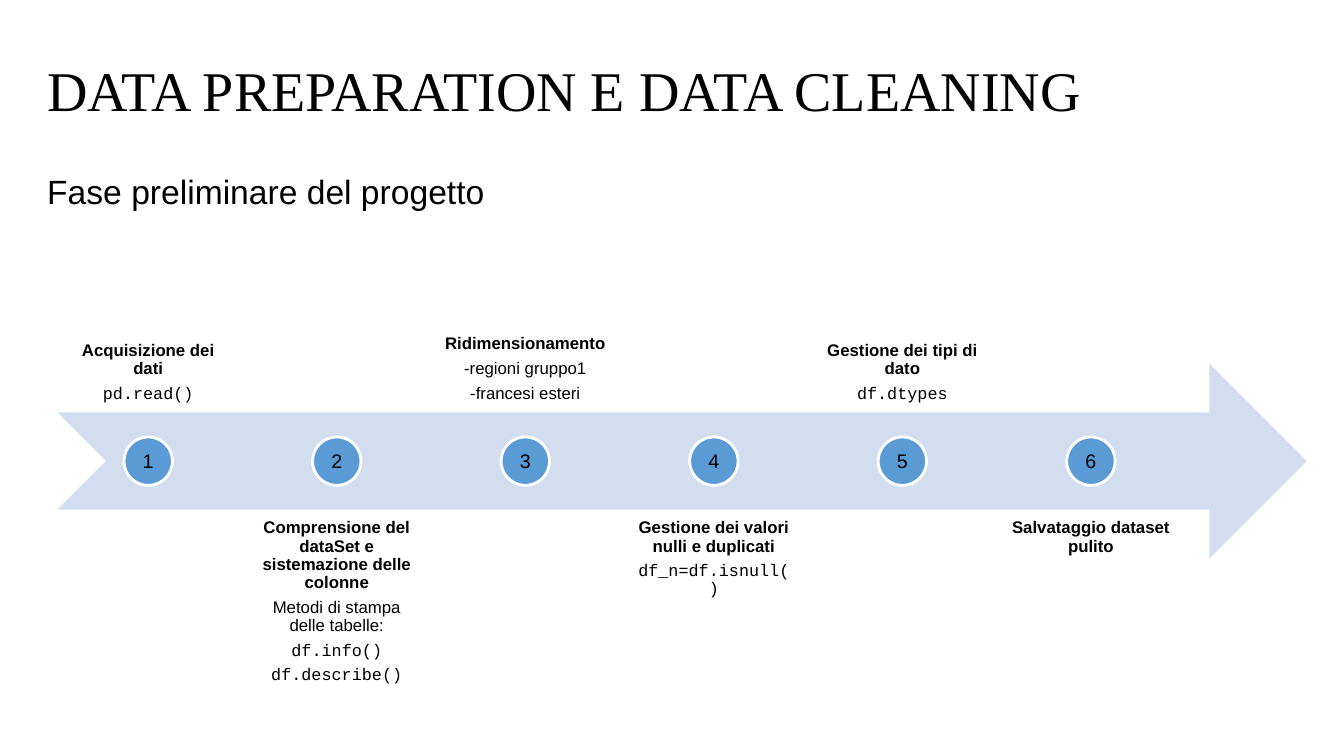
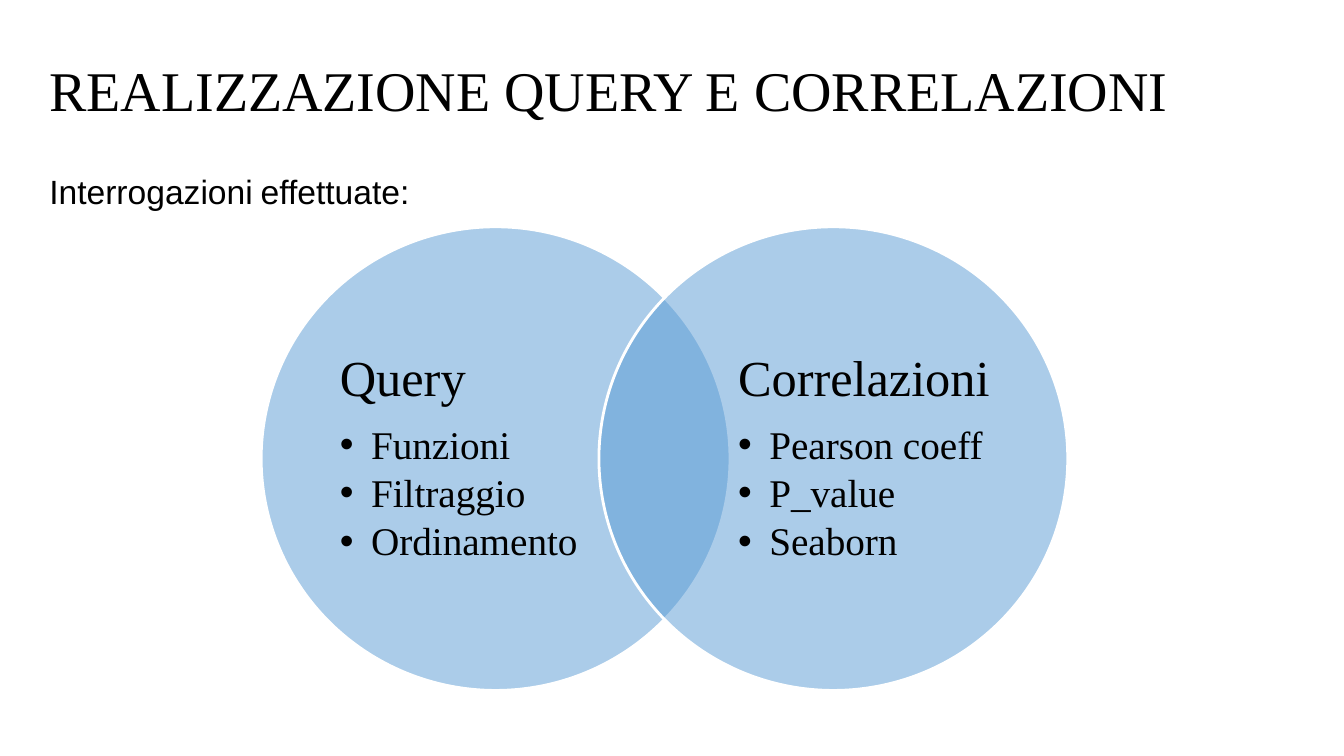
from dataclasses import dataclass

from lxml import etree
from pptx import Presentation
from pptx import util as u
from pptx.dml.color import RGBColor
from pptx.enum import shapes, text
from pptx.oxml import ns


@dataclass(frozen=True)
class Theme:
    ink: str = "000000"
    white: str = "FFFFFF"
    arrow: str = "D2DEEF"
    badge: str = "5B9BD5"
    venn: str = "599BD5"
    serif: str = "Times New Roman"
    sans: str = "Arial"
    code: str = "Courier New"
    title: int = 40
    subtitle: int = 24
    small_gap: int = 20
    step: int = 12
    number: int = 14
    set_name: int = 36
    member: int = 28


THEME = Theme()
WIDTH, HEIGHT = 13.33, 7.5

# Timeline grid: six columns around a central band
COLUMN_LEFT, COLUMN_PITCH, COLUMN_WIDTH = 0.58, 1.87, 1.78
LABEL_HEIGHT, LABEL_TOP_UPPER, LABEL_TOP_LOWER = 1.93, 2.16, 5.06
BADGE = 0.48
ARROW = (0.57, 3.61, 12.39, 1.93)

# Each step: heading, then (line, font)
STEPS = [
    ("Acquisizione dei dati", [("pd.read()", THEME.code)]),
    ("Comprensione del dataSet e sistemazione delle colonne",
     [("Metodi di stampa delle tabelle:", THEME.sans),
      ("df.info()", THEME.code), ("df.describe()", THEME.code)]),
    ("Ridimensionamento",
     [("-regioni gruppo1", THEME.sans), ("-francesi esteri", THEME.sans)]),
    ("Gestione dei valori nulli e duplicati",
     [("df_n=df.isnull()", THEME.code)]),
    ("Gestione dei tipi di dato", [("df.dtypes", THEME.code)]),
    ("Salvataggio dataset pulito", []),
]

# Each set: circle left, text left, text inset, name, members
VENN_SETS = [
    (2.59, 3.24, 0.13, "Query", ["Funzioni", "Filtraggio", "Ordinamento"]),
    (5.94, 7.26, 0.06, "Correlazioni",
     ["Pearson coeff", "P_value", "Seaborn"]),
]


# Formatting helpers
def apply(target, **formats):
    for attribute, value in formats.items():
        setattr(target, attribute, value)


def inches(*lengths):
    return [u.Inches(length) for length in lengths]


def set_frame(frame, anchor, inset):
    apply(frame, word_wrap=True, vertical_anchor=anchor,
          margin_left=inset, margin_right=inset,
          margin_top=inset, margin_bottom=inset)


def add_run(paragraph, content, size, font, bold=False):
    run = paragraph.add_run()
    run.text = content
    apply(run.font, size=u.Pt(size), name=font, bold=bold)
    run.font.color.rgb = RGBColor.from_string(THEME.ink)


def next_paragraph(frame):
    first = frame.paragraphs[0]
    return frame.add_paragraph() if first.runs else first


def add_bullet(paragraph, indent):
    properties = paragraph._p.get_or_add_pPr()
    properties.set("marL", str(indent))
    properties.set("indent", str(-indent))
    font = etree.SubElement(properties, ns.qn("a:buFont"))
    font.set("typeface", THEME.sans)
    bullet = etree.SubElement(properties, ns.qn("a:buChar"))
    bullet.set("char", "•")


# Elements
def add_filled(slide, preset, box, fill, outlined=False, alpha=None):
    shape = slide.shapes.add_shape(preset, *inches(*box))
    shape.shadow.inherit = False
    shape.fill.solid()
    shape.fill.fore_color.rgb = RGBColor.from_string(fill)
    if alpha is not None:
        color = shape.fill._xPr.find(".//" + ns.qn("a:srgbClr"))
        etree.SubElement(color, ns.qn("a:alpha")).set("val", str(alpha * 1000))
    if outlined:
        shape.line.color.rgb = RGBColor.from_string(THEME.white)
        shape.line.width = u.Pt(2)
    else:
        shape.line.fill.background()
    return shape


def add_headed_slide(deck, title, left, title_width, subtitle, subtitle_width):
    slide = deck.slides.add_slide(deck.slide_layouts[5])
    heading = slide.shapes.title
    left, top, width, height = inches(left, 0.2, title_width, 1.45)
    apply(heading, left=left, top=top, width=width, height=height)
    heading.text_frame.vertical_anchor = text.MSO_ANCHOR.MIDDLE
    paragraph = heading.text_frame.paragraphs[0]
    apply(paragraph, alignment=text.PP_ALIGN.LEFT, line_spacing=0.9)
    add_run(paragraph, title, THEME.title, THEME.serif)

    caption = slide.shapes.add_textbox(
        left, top + height, *inches(subtitle_width, 0.5)).text_frame
    caption.word_wrap = True
    for content, size in subtitle:
        add_run(caption.paragraphs[0], content, size, THEME.sans)
    return slide


def add_step(slide, index, heading, details):
    left = COLUMN_LEFT + index * COLUMN_PITCH
    upper = index % 2 == 0
    top = LABEL_TOP_UPPER if upper else LABEL_TOP_LOWER
    anchor = text.MSO_ANCHOR.BOTTOM if upper else text.MSO_ANCHOR.TOP
    label = slide.shapes.add_textbox(
        *inches(left, top, COLUMN_WIDTH, LABEL_HEIGHT)).text_frame
    set_frame(label, anchor, u.Pt(6.7))
    for row, (content, font) in enumerate([(heading, THEME.sans)] + details):
        paragraph = next_paragraph(label)
        apply(paragraph, alignment=text.PP_ALIGN.CENTER,
              line_spacing=0.9, space_after=u.Pt(4.8))
        add_run(paragraph, content, THEME.step, font, bold=row == 0)

    # Numbered badge centred on the column and on the arrow
    badge_left = left + (COLUMN_WIDTH - BADGE) / 2
    badge_top = ARROW[1] + (ARROW[3] - BADGE) / 2
    badge = add_filled(slide, shapes.MSO_SHAPE.OVAL,
                       (badge_left, badge_top, BADGE, BADGE),
                       THEME.badge, outlined=True)
    set_frame(badge.text_frame, text.MSO_ANCHOR.MIDDLE, 0)
    number = badge.text_frame.paragraphs[0]
    number.alignment = text.PP_ALIGN.CENTER
    add_run(number, str(index + 1), THEME.number, THEME.sans)


def add_venn_set(slide, circle_left, text_left, inset, name, members):
    add_filled(slide, shapes.MSO_SHAPE.OVAL, (circle_left, 2.25, 4.65, 4.6),
               THEME.venn, outlined=True, alpha=50)
    content = slide.shapes.add_textbox(
        *inches(text_left, 2.79, 2.68, 3.52)).text_frame
    set_frame(content, text.MSO_ANCHOR.MIDDLE, 0)
    content.margin_left = u.Inches(inset)
    heading = next_paragraph(content)
    heading.line_spacing = 0.9
    add_run(heading, name, THEME.set_name, THEME.serif)
    for row, member in enumerate(members):
        paragraph = next_paragraph(content)
        apply(paragraph, line_spacing=0.9,
              space_before=u.Pt(4.2 if row else 12.6))
        add_bullet(paragraph, u.Inches(0.31))
        add_run(paragraph, member, THEME.member, THEME.serif)


def main():
    deck = Presentation()
    apply(deck, slide_width=u.Inches(WIDTH), slide_height=u.Inches(HEIGHT))

    # Preparation timeline
    preparation = add_headed_slide(
        deck, "DATA PREPARATION E DATA CLEANING", 0.37, 11.65,
        [("Fase preliminare del progetto", THEME.subtitle)], 4.58)
    add_filled(preparation, shapes.MSO_SHAPE.NOTCHED_RIGHT_ARROW,
               ARROW, THEME.arrow)
    for index, (heading, details) in enumerate(STEPS):
        add_step(preparation, index, heading, details)

    # Queries and correlations
    queries = add_headed_slide(
        deck, "REALIZZAZIONE QUERY E CORRELAZIONI", 0.39, 12.26,
        [("Interrogazioni", THEME.subtitle), (" ", THEME.small_gap),
         ("effettuate:", THEME.subtitle)], 3.82)
    for venn_set in VENN_SETS:
        add_venn_set(queries, *venn_set)

    deck.save("out.pptx")


if __name__ == "__main__":
    main()
